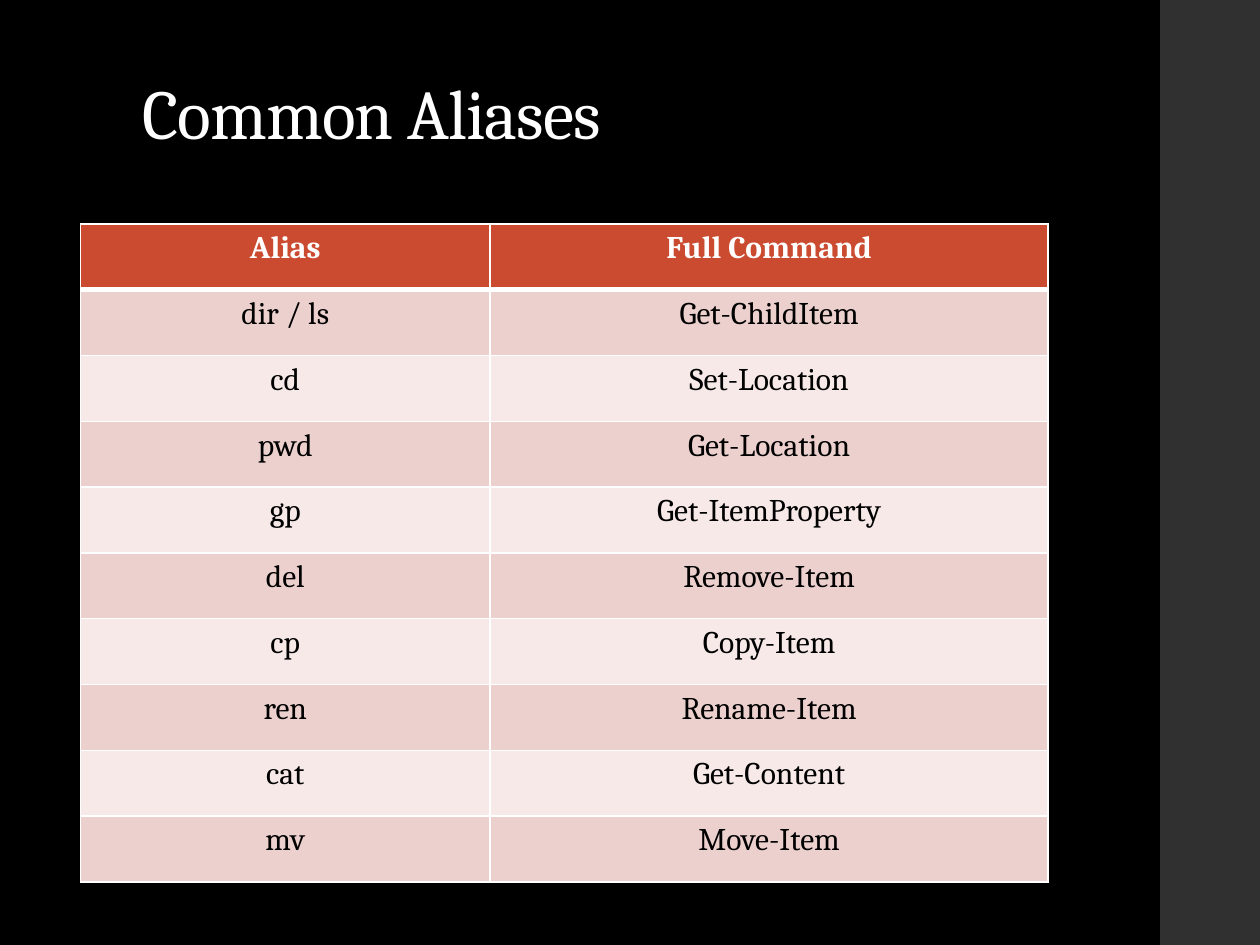
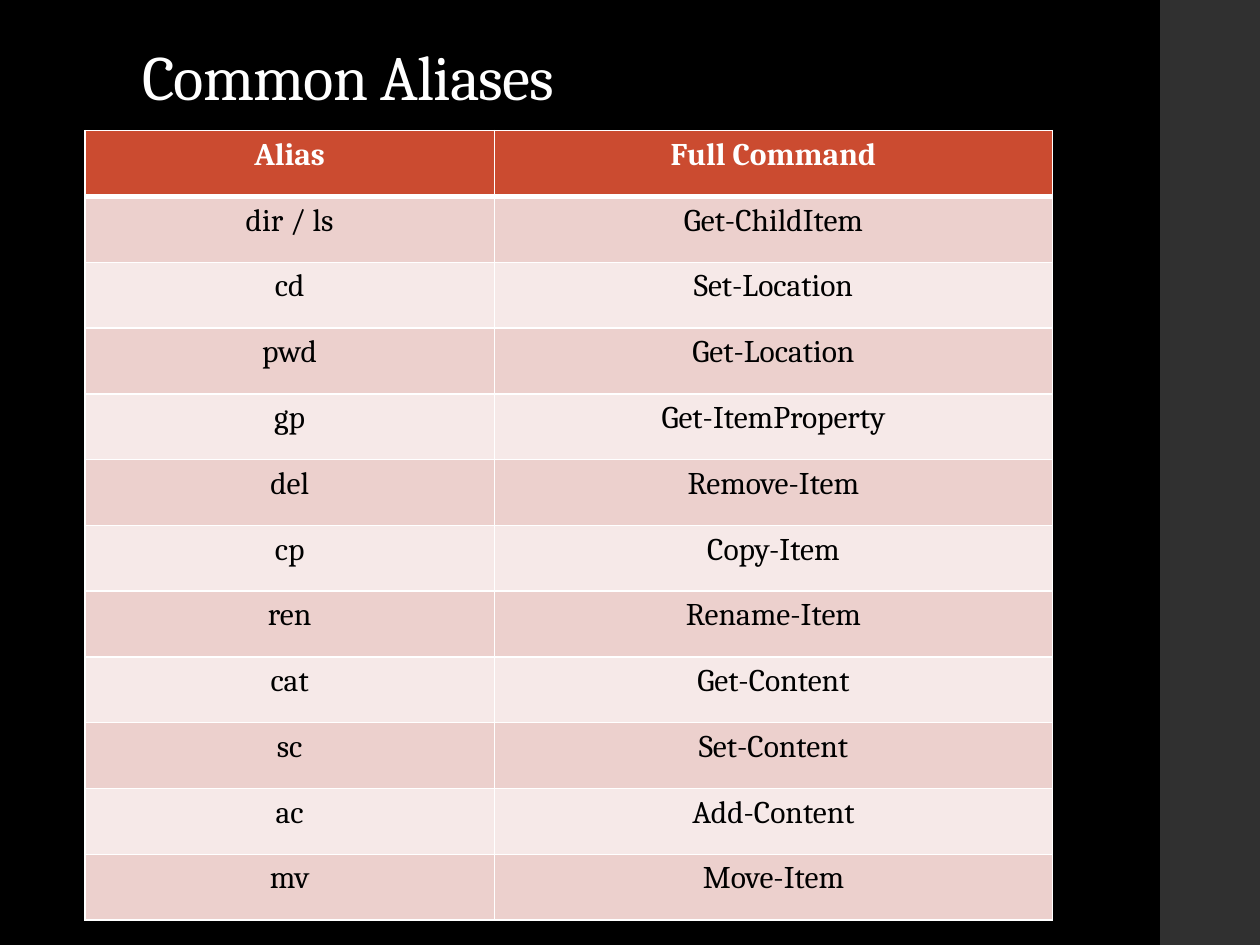
import pptx
import pptx.util
import pptx.dml.color
import pptx.enum.shapes
import pptx.enum.text
import pptx.oxml.ns
import lxml.etree

Pt = pptx.util.Pt
ALIGN = pptx.enum.text.PP_ALIGN
ANCHOR = pptx.enum.text.MSO_ANCHOR

# Content
HEAD = ("Alias", "Full Command")
BASE = [
    ("dir / ls", "Get-ChildItem"),
    ("cd", "Set-Location"),
    ("pwd", "Get-Location"),
    ("gp", "Get-ItemProperty"),
    ("del", "Remove-Item"),
    ("cp", "Copy-Item"),
    ("ren", "Rename-Item"),
    ("cat", "Get-Content"),
]
WRITE = [("sc", "Set-Content"), ("ac", "Add-Content")]
MOVE = [("mv", "Move-Item")]
PAGES = [
    {"title": "Common Aliases", "size": 40, "box": (74, 27.5, 539, 64.5),
     "table": (46, 128), "rows": BASE + MOVE},
    {"title": "Common Aliases", "size": 36, "box": (74, 29, 539, 40),
     "table": (48.5, 74.7), "rows": BASE + WRITE + MOVE},
]

# Shared look
INK = {"back": "000000", "band": "303030", "head": "CB4B30", "odd": "ECD0CD",
       "even": "F6E9E8", "light": "FFFFFF", "dark": "000000"}
FONT = "Cambria"
WIDE, HIGH = 720, 540
BAND = 663
COLS = (234, 319)
ROW = 37.6
THIN, THICK = 1, 3


def paint(fill, name):
    fill.solid()
    fill.fore_color.rgb = pptx.dml.color.RGBColor.from_string(INK[name])


def write(frame, text, size=18, color="dark", bold=False, align=ALIGN.LEFT,
          lead=None, track=None):
    para = frame.paragraphs[0]
    para.alignment = align
    if lead:
        para.line_spacing = lead
    run = para.add_run()
    run.text = text
    run.font.name = FONT
    run.font.size = Pt(size)
    run.font.bold = bold
    paint(run.font.fill, color)
    if track:
        run.font._element.set("spc", str(int(track * 100)))


def edge(cell, side, width):
    name = pptx.oxml.ns.qn
    props = cell._tc.get_or_add_tcPr()
    line = lxml.etree.SubElement(props, name("a:ln" + side), w=str(Pt(width)))
    solid = lxml.etree.SubElement(line, name("a:solidFill"))
    lxml.etree.SubElement(solid, name("a:srgbClr"), val=INK["light"])


def add_band(slide):
    band = slide.shapes.add_shape(pptx.enum.shapes.MSO_SHAPE.RECTANGLE,
                                  Pt(BAND), 0, Pt(WIDE - BAND), Pt(HIGH))
    band.shadow.inherit = False
    paint(band.fill, "band")
    band.line.fill.background()


def add_title(slide, page):
    title = slide.shapes.title
    title.left, title.top, title.width, title.height = map(Pt, page["box"])
    frame = title.text_frame
    frame.word_wrap = True
    frame.auto_size = pptx.enum.text.MSO_AUTO_SIZE.NONE
    frame.vertical_anchor = ANCHOR.BOTTOM
    write(frame, page["title"], size=page["size"], color="light",
          lead=0.9, track=-0.5)


def add_grid(slide, page):
    rows = [HEAD] + page["rows"]
    left, top = page["table"]
    grid = slide.shapes.add_table(len(rows), len(COLS), Pt(left), Pt(top),
                                  Pt(sum(COLS)), Pt(ROW * len(rows))).table
    for col, width in zip(grid.columns, COLS):
        col.width = Pt(width)
    for r, texts in enumerate(rows):
        grid.rows[r].height = Pt(ROW)
        tone = "head" if r == 0 else "odd" if r % 2 else "even"
        for c, text in enumerate(texts):
            cell = grid.cell(r, c)
            # The rule under the header is heavier than the others
            for side in "LRTB":
                heavy = (r, side) in ((0, "B"), (1, "T"))
                edge(cell, side, THICK if heavy else THIN)
            paint(cell.fill, tone)
            write(cell.text_frame, text, color="dark" if r else "light",
                  bold=r == 0, align=ALIGN.CENTER)


# Build the slides
deck = pptx.Presentation()
deck.slide_width, deck.slide_height = Pt(WIDE), Pt(HIGH)
layout = deck.slide_layouts.get_by_name("Title Only")
paint(deck.slide_master.background.fill, "back")
for page in PAGES:
    slide = deck.slides.add_slide(layout)
    add_band(slide)
    add_title(slide, page)
    add_grid(slide, page)
deck.save("out.pptx")
